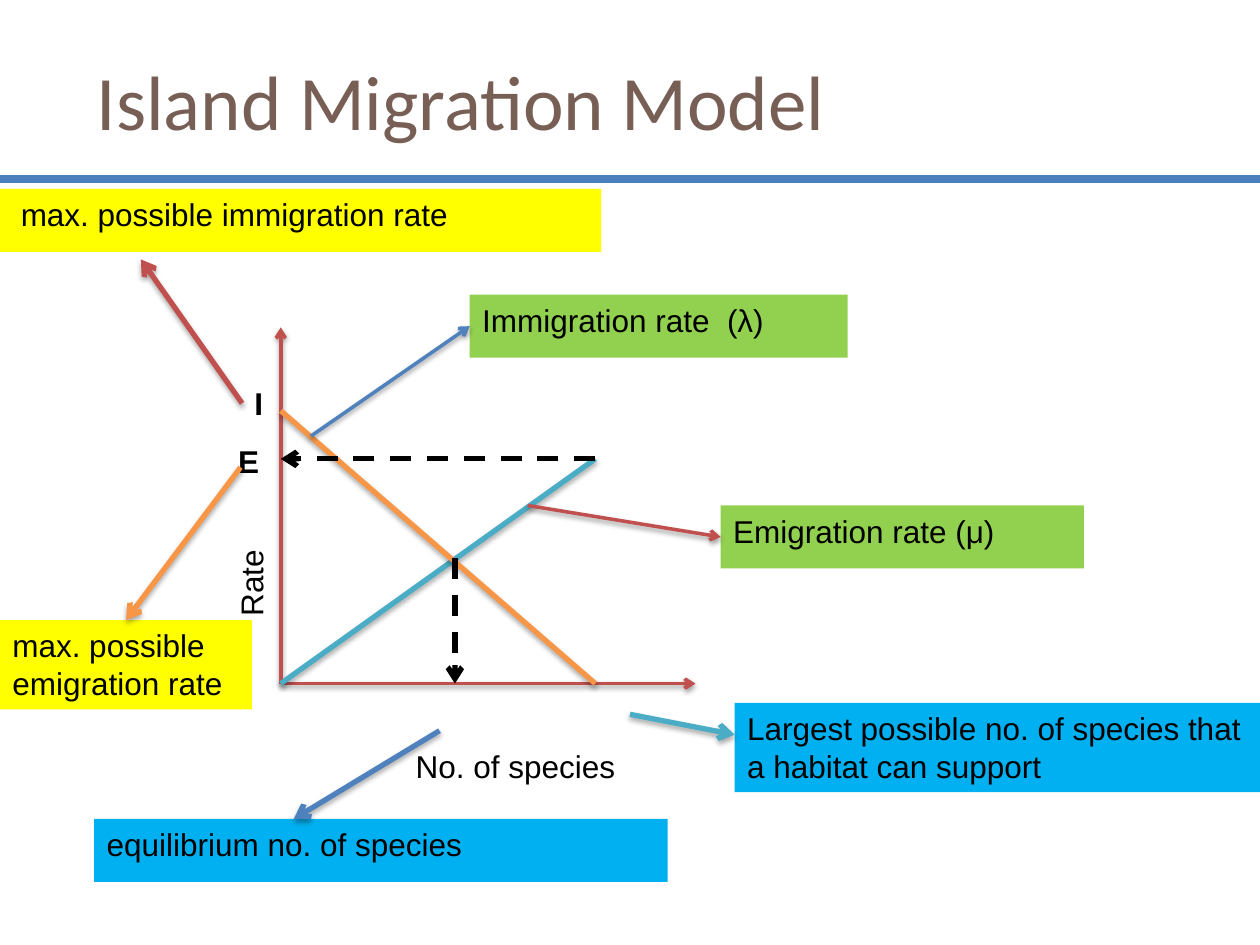
from dataclasses import dataclass

from lxml import etree
from pptx import Presentation
from pptx.dml.color import RGBColor
from pptx.enum.dml import MSO_LINE
from pptx.enum.shapes import MSO_CONNECTOR, MSO_SHAPE
from pptx.enum.text import MSO_ANCHOR, PP_ALIGN
from pptx.oxml import parse_xml
from pptx.oxml.ns import nsdecls, qn
from pptx.util import Cm, Pt


@dataclass(frozen=True)
class Theme:
    title: str = "775F55"
    text: str = "000000"
    rule: str = "4B7EBC"
    red: str = "C0504D"
    blue: str = "4F81BD"
    teal: str = "4BACC6"
    orange: str = "F79646"
    yellow: str = "FFFF00"
    green: str = "92D050"
    cyan: str = "00B0F0"
    title_font: str = "Calibri"
    body_font: str = "Arial"
    title_size: int = 44
    body_size: int = 18
    thin: float = 2
    thick: float = 3
    rule_width: float = 4.5


THEME = Theme()

ORIGIN_X, ORIGIN_Y = 5.66, 13.78
MAX_IMMIGRATION_Y = 8.28
MAX_EMIGRATION_Y = 9.25
MAX_SPECIES_X = 12.0


def rgb(value):
    return RGBColor.from_string(value)


def set_font(font, name, size, color, bold=False):
    font.name = name
    font.size = Pt(size)
    font.bold = bold
    font.color.rgb = rgb(color)


def write(s, text, bold=False):
    tf = s.text_frame
    tf.word_wrap = True
    tf.vertical_anchor = MSO_ANCHOR.TOP
    p = tf.paragraphs[0]
    p.text = text
    p.alignment = PP_ALIGN.LEFT
    set_font(p.runs[0].font, THEME.body_font, THEME.body_size, THEME.text, bold)


def add_title(slide, text):
    s = slide.shapes.title
    s.left, s.top, s.width, s.height = Cm(1.7), Cm(0.64), Cm(22.66), Cm(2.74)
    tf = s.text_frame
    tf.text = text
    tf.vertical_anchor = MSO_ANCHOR.MIDDLE
    p = tf.paragraphs[0]
    p.alignment = PP_ALIGN.LEFT
    set_font(p.runs[0].font, THEME.title_font, THEME.title_size, THEME.title)


def add_label(slide, text, box, bold=False, rotation=0):
    s = slide.shapes.add_textbox(*map(Cm, box))
    s.rotation = rotation
    write(s, text, bold)


def add_callout(slide, text, box, color, indent=0.25):
    s = slide.shapes.add_shape(MSO_SHAPE.RECTANGLE, *map(Cm, box))
    s.shadow.inherit = False
    s.fill.solid()
    s.fill.fore_color.rgb = rgb(color)
    s.line.fill.background()
    s.text_frame.margin_left = Cm(indent)
    write(s, text)
    return s


def add_shadow(effects, width):
    distance, alpha = (1.6, 38) if width == THEME.thin else (1.8, 35)
    effects.append(parse_xml(
        f'<a:outerShdw {nsdecls("a")} blurRad="{Pt(3.1)}" dist="{Pt(distance)}" '
        f'dir="5400000" rotWithShape="0"><a:srgbClr val="000000">'
        f'<a:alpha val="{alpha * 1000}"/></a:srgbClr></a:outerShdw>'))


def add_line(slide, start, end, color, width, arrow=True, shadow=True, dash=False):
    s = slide.shapes.add_connector(
        MSO_CONNECTOR.STRAIGHT, *map(Cm, (*start, *end)))
    s.line.color.rgb = rgb(color)
    s.line.width = Pt(width)
    if dash:
        s.line.dash_style = MSO_LINE.DASH
    if arrow:
        etree.SubElement(s.line._get_or_add_ln(), qn("a:tailEnd"), type="arrow")
    effects = etree.SubElement(s._element.spPr, qn("a:effectLst"))
    if shadow:
        add_shadow(effects, width)
    return s


def add_graph(slide):
    origin = (ORIGIN_X, ORIGIN_Y)
    peak = (MAX_SPECIES_X, MAX_EMIGRATION_Y)
    add_line(slide, origin, (14.02, ORIGIN_Y), THEME.red, THEME.thin)
    add_line(slide, origin, (ORIGIN_X, 6.6), THEME.red, THEME.thin)
    add_line(slide, origin, peak, THEME.teal, THEME.thick, arrow=False)
    add_line(slide, (MAX_SPECIES_X, ORIGIN_Y), (ORIGIN_X, MAX_IMMIGRATION_Y),
             THEME.orange, THEME.thick, arrow=False)
    for start, end in (((9.17, 11.25), (9.17, ORIGIN_Y)),
                       (peak, (ORIGIN_X, MAX_EMIGRATION_Y))):
        add_line(slide, start, end, THEME.text, THEME.thick,
                 shadow=False, dash=True)

    add_label(slide, "No. of species", (8.13, 14.94, 4.65, 1.02))
    add_label(slide, "Rate", (3.89, 11, 2.34, 1.02), rotation=270)
    add_label(slide, "I", (4.88, 7.62, 0.69, 1.04), bold=True)
    add_label(slide, "E", (4.55, 8.79, 1.02, 1.04), bold=True)


def add_callouts(slide):
    add_callout(slide, "max. possible immigration rate",
                (0, 3.81, 12.12, 1.27), THEME.yellow, indent=0.42)
    add_callout(slide, "equilibrium no. of species",
                (1.9, 16.51, 11.56, 1.27), THEME.cyan)
    add_callout(slide, "Largest possible no. of species that a habitat can support",
                (14.81, 14.17, 10.59, 1.8), THEME.cyan)
    emigration = add_callout(slide, "Emigration rate (μ)",
                             (14.53, 10.19, 7.32, 1.27), THEME.green)
    immigration = add_callout(slide, "Immigration rate  (λ)",
                              (9.47, 5.94, 7.62, 1.27), THEME.green)
    max_emigration = add_callout(slide, "max. possible emigration rate",
                                 (0, 12.5, 5.08, 1.8), THEME.yellow)

    pointers = (
        ((10.64, 10.19), (14.53, 10.82), THEME.red, THEME.thin, emigration, 1),
        ((6.27, 8.79), (9.47, 6.58), THEME.blue, THEME.thin, immigration, 1),
        ((4.85, 9.42), (2.54, 12.5), THEME.orange, THEME.thick, max_emigration, 0),
        ((4.88, 8.13), (2.84, 5.23), THEME.red, THEME.thick, None, None),
        ((12.7, 14.4), (14.81, 14.81), THEME.teal, THEME.thick, None, None),
        ((8.86, 14.73), (5.92, 16.51), THEME.blue, THEME.thick, None, None),
    )
    for start, end, color, width, target, side in pointers:
        s = add_line(slide, start, end, color, width)
        if target is not None:
            s.end_connect(target, side)


def main():
    prs = Presentation()
    prs.slide_width, prs.slide_height = Cm(25.4), Cm(19.05)
    slide = prs.slides.add_slide(prs.slide_layouts[5])
    add_title(slide, "Island Migration Model")
    add_line(slide, (0, 3.61), (25.4, 3.61), THEME.rule, THEME.rule_width,
             arrow=False, shadow=False)
    add_graph(slide)
    add_callouts(slide)
    prs.save("out.pptx")


if __name__ == "__main__":
    main()
